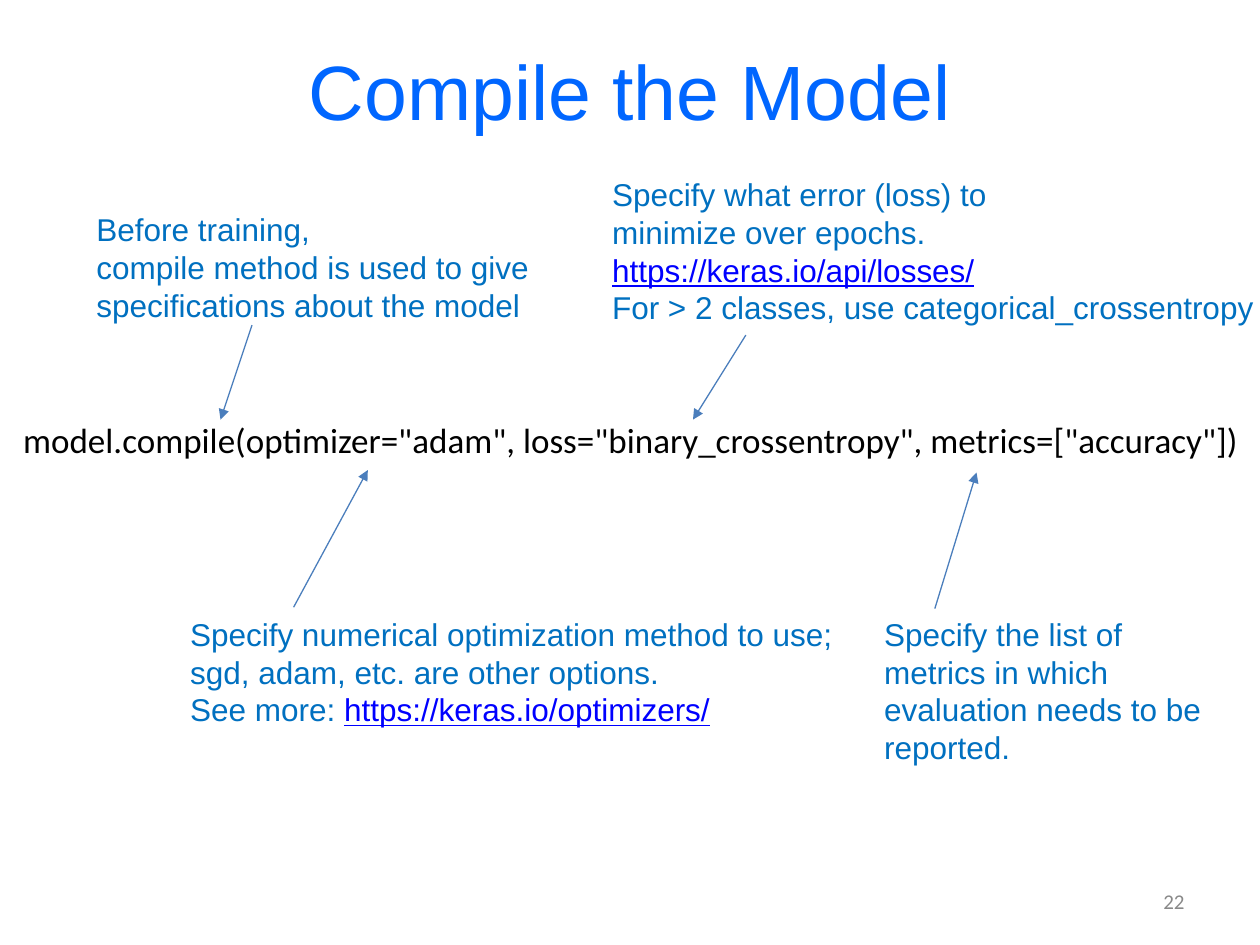
from lxml.etree import SubElement
from pptx import Presentation
from pptx.dml.color import RGBColor
from pptx.enum.shapes import MSO_CONNECTOR
from pptx.enum.text import MSO_ANCHOR, MSO_AUTO_SIZE, PP_ALIGN
from pptx.oxml.ns import qn
from pptx.util import Pt

TITLE_BLUE = RGBColor(0x00, 0x66, 0xFF)
NOTE_BLUE = RGBColor(0x00, 0x70, 0xC0)
LINK_BLUE = RGBColor(0x00, 0x00, 0xFF)
ARROW_BLUE = RGBColor(0x4B, 0x7E, 0xBC)
BLACK = RGBColor(0x00, 0x00, 0x00)
GREY = RGBColor(0x89, 0x89, 0x89)

NOTES = [
    ((48, 116.6, 269.3, 72.7), (96, 69.2), (78, 123.2), False,
     ["Before training,",
      "compile method is used to give",
      "specifications about the model"]),
    ((101.5, 347.8, 385.2, 72.7), (66.3, -0.8), (108.7, -79.2), False,
     ["Specify numerical optimization method to use;",
      "sgd, adam, etc. are other options.",
      "See more: https://keras.io/optimizers/"]),
    ((342.7, 96.5, 384.5, 94.3), (83.5, 95), (53.3, 143.3), False,
     ["Specify what error (loss) to",
      "minimize over epochs.",
      "https://keras.io/api/losses/",
      "For > 2 classes, use categorical_crossentropy"]),
    ((498.2, 347.8, 228.2, 94.3), (36, 0), (59.8, -77.8), True,
     ["Specify the list of",
      "metrics in which",
      "evaluation needs to be",
      "reported."]),
]


def place(shape, box):
    """Move and size a shape to a box given in points."""
    shape.left, shape.top, shape.width, shape.height = map(Pt, box)


def style(run, size, font, color):
    """Set the size, typeface and colour of a run."""
    run.font.size = Pt(size)
    run.font.name = font
    run.font.color.rgb = color


def add_title(slide, box, text):
    """Fill the title placeholder."""
    title = slide.shapes.title
    place(title, box)
    frame = title.text_frame
    frame.text = text
    frame.vertical_anchor = MSO_ANCHOR.MIDDLE
    frame.paragraphs[0].alignment = PP_ALIGN.CENTER
    style(frame.paragraphs[0].runs[0], 44, "Arial", TITLE_BLUE)


def add_code(slide, box, code):
    """Fill the body placeholder with one unbulleted line of code."""
    body = slide.placeholders[1]
    place(body, box)
    frame = body.text_frame
    frame.text = code
    frame.auto_size = MSO_AUTO_SIZE.NONE
    frame.margin_top = Pt(131)
    line = frame.paragraphs[0]
    line.space_before = Pt(0)
    properties = line._p.get_or_add_pPr()
    properties.set("marL", "0")
    properties.set("indent", "0")
    SubElement(properties, qn("a:buNone"))
    style(line.runs[0], 20, "Calibri", BLACK)


def add_arrow(slide, start, end):
    """Draw a thin arrow between two points."""
    arrow = slide.shapes.add_connector(
        MSO_CONNECTOR.STRAIGHT, *map(Pt, (*start, *end)))
    arrow.line.color.rgb = ARROW_BLUE
    arrow.line.width = Pt(0.75)
    SubElement(arrow.line._get_or_add_ln(), qn("a:tailEnd"), type="triangle")
    SubElement(arrow._element.spPr, qn("a:effectLst"))


def add_note(slide, box, start, end, wrap, lines):
    """Write a note and its arrow, whose ends are offsets from the box corner."""
    left, top = box[:2]
    add_arrow(slide, (left + start[0], top + start[1]),
              (left + end[0], top + end[1]))
    frame = slide.shapes.add_textbox(*map(Pt, box)).text_frame
    frame.word_wrap = wrap
    frame.auto_size = MSO_AUTO_SIZE.SHAPE_TO_FIT_TEXT
    frame.text = "\n".join(lines)
    for paragraph, line in zip(frame.paragraphs, lines):
        words, scheme, address = line.partition("https://")
        paragraph.text = words
        for run in paragraph.runs:
            style(run, 18, "Arial", NOTE_BLUE)
        if scheme:
            link = paragraph.add_run()
            link.text = scheme + address
            style(link, 18, "Arial", LINK_BLUE)
            link.font.underline = True


def add_page_number(slide, box, number):
    """Write the page number at the right of its box."""
    frame = slide.shapes.add_textbox(*map(Pt, box)).text_frame
    frame.word_wrap = True
    frame.vertical_anchor = MSO_ANCHOR.MIDDLE
    frame.text = number
    frame.paragraphs[0].alignment = PP_ALIGN.RIGHT
    style(frame.paragraphs[0].runs[0], 12, "Calibri", GREY)


def main():
    """Build and save the slide."""
    deck = Presentation()
    deck.slide_width, deck.slide_height = Pt(720), Pt(540)
    slide = deck.slides.add_slide(deck.slide_layouts[1])
    add_title(slide, (36, 6, 648, 90), "Compile the Model")
    add_code(slide, (6, 108, 714, 408),
             'model.compile(optimizer="adam", loss="binary_crossentropy", '
             'metrics=["accuracy"])')
    add_page_number(slide, (516, 500.5, 168, 28.8), "22")
    for note in NOTES:
        add_note(slide, *note)
    deck.save("out.pptx")


if __name__ == "__main__":
    main()
